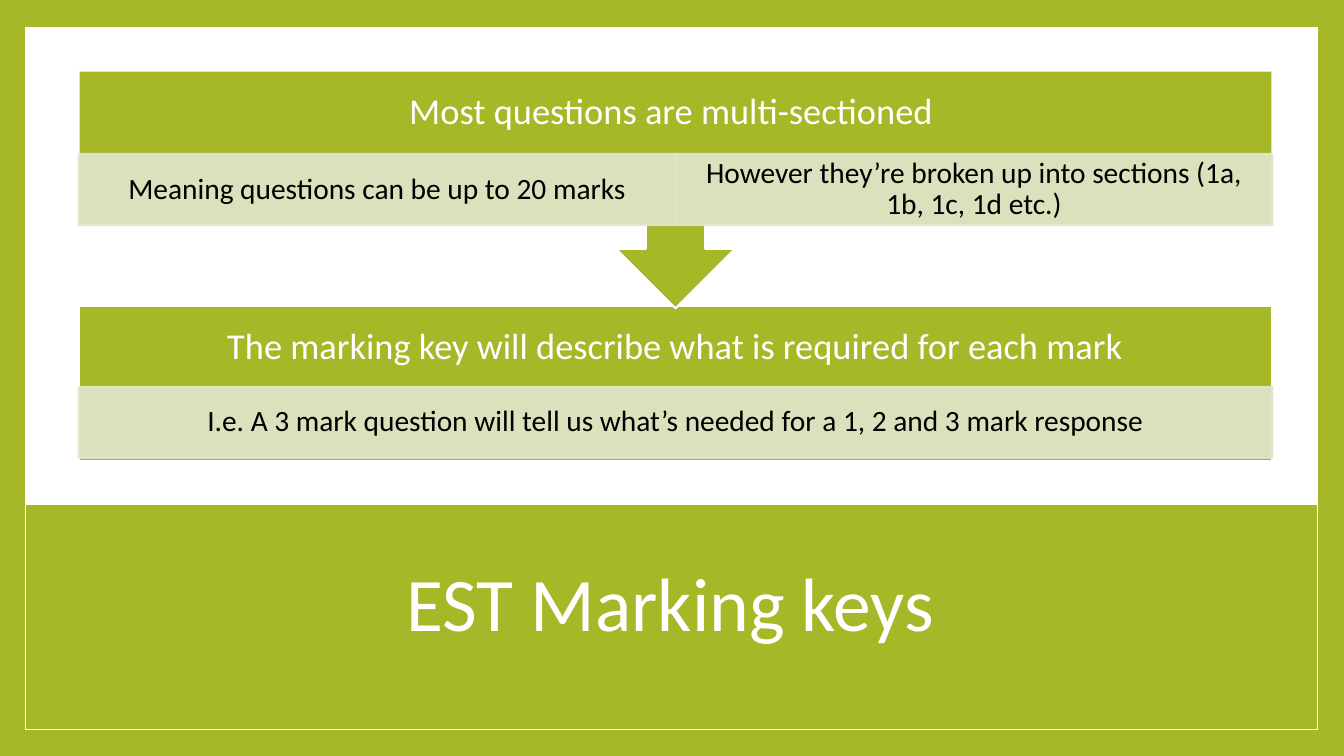
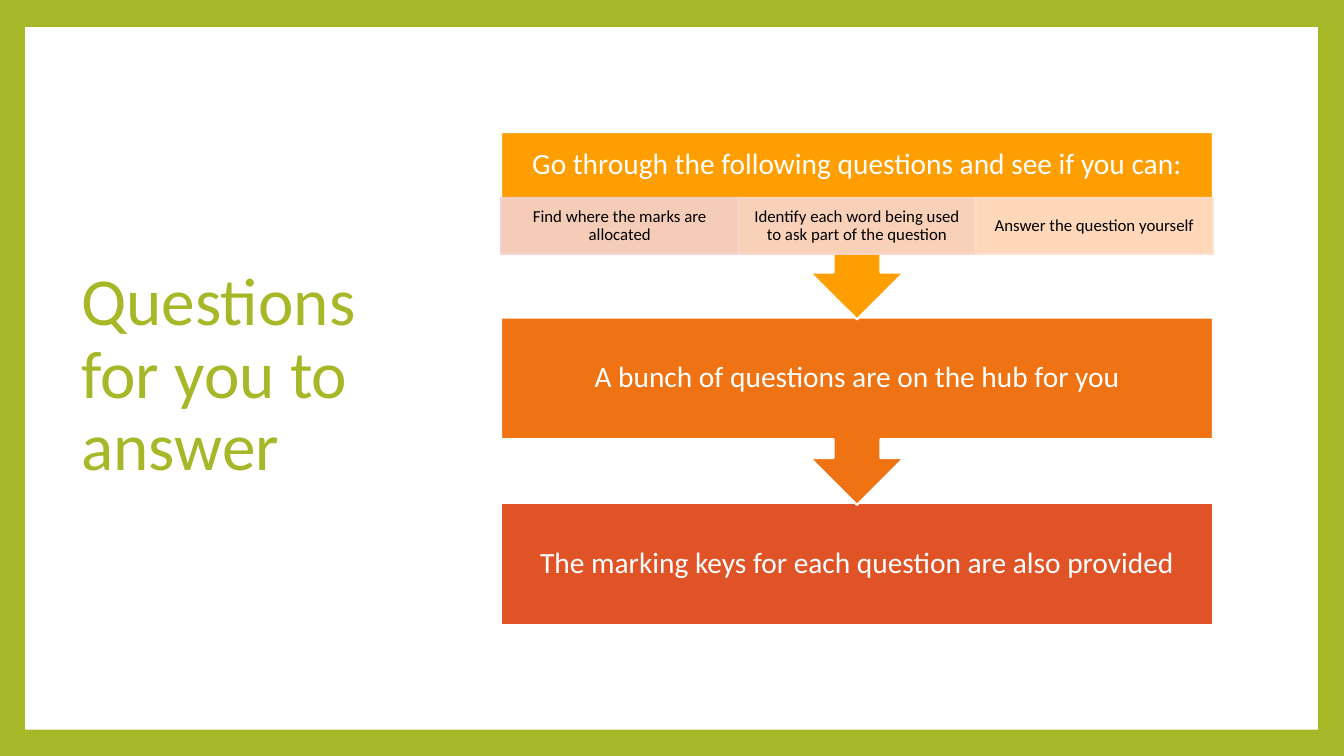
from dataclasses import dataclass

from lxml import etree
from pptx import Presentation
from pptx.dml.color import RGBColor
from pptx.enum.shapes import MSO_SHAPE
from pptx.enum.text import MSO_ANCHOR, PP_ALIGN
from pptx.oxml.ns import qn
from pptx.util import Inches, Pt

RECT = MSO_SHAPE.RECTANGLE
CALLOUT = MSO_SHAPE.DOWN_ARROW_CALLOUT
MIDDLE = MSO_ANCHOR.MIDDLE
CENTER, LEFT = PP_ALIGN.CENTER, PP_ALIGN.LEFT


@dataclass(frozen=True)
class Theme:
    font: str = "Calibri"
    white: str = "FFFFFF"
    black: str = "000000"
    green: str = "A6B727"
    pale: str = "E1E6CD"
    amber: str = "FE9E00"
    orange: str = "EF7213"
    red: str = "DF5327"
    rose: str = "F3D1CD"
    peach: str = "F9D7CC"
    cream: str = "FFDFCC"
    banner: int = 54
    title: int = 48
    line: float = 1.5
    spacing: float = 0.9


@dataclass(frozen=True)
class Look:
    """Type sizes and text margins of one flow."""
    head: int
    cell: int
    pad: float
    side: float
    edge: float


@dataclass(frozen=True)
class Step:
    text: str
    color: str
    cells: tuple = ()


THEME = Theme()
WIDE = Look(head=26, cell=21, pad=0.2, side=0.16, edge=0.03)
SMALL = Look(head=21, cell=12, pad=0.16, side=0.09, edge=0.02)
PANEL = (0.25, 0.27, 12.82, 6.97)
BODY = 0.65       # share of a callout above its arrow
HEAD = 0.54       # share of a step's body above its cells
LAST = 0.52       # the same share in the last step
OVERLAP = 0.02    # arrow tip reaching into the next step


def rgb(color):
    return RGBColor.from_string(color)


def fade(format, percent):
    """Set the opacity of a solid fill or line."""
    for color in format.iter(qn("a:srgbClr")):
        alpha = etree.SubElement(color, qn("a:alpha"))
        alpha.set("val", str(percent * 1000))


def add_box(slide, box, fill, line=None, width=THEME.line, kind=RECT):
    shape = slide.shapes.add_shape(kind, *map(Inches, box))
    shape.shadow.inherit = False
    shape.fill.solid()
    shape.fill.fore_color.rgb = rgb(fill)
    if line:
        shape.line.color.rgb = rgb(line)
        shape.line.width = Pt(width)
    else:
        shape.line.fill.background()
    return shape


def write(shape, text, size, color, align=CENTER, insets=(0.1, 0.05, 0.1, 0.05)):
    frame = shape.text_frame
    frame.word_wrap = True
    frame.vertical_anchor = MIDDLE
    (frame.margin_left, frame.margin_top,
     frame.margin_right, frame.margin_bottom) = map(Inches, insets)
    para = frame.paragraphs[0]
    para.alignment = align
    para.line_spacing = THEME.spacing
    run = para.add_run()
    run.text = text
    run.font.name = THEME.font
    run.font.size = Pt(size)
    run.font.color.rgb = rgb(color)


def add_title(slide, box, text, size, color, align):
    write(slide.shapes.add_textbox(*map(Inches, box)), text, size, color, align)


def add_page(deck):
    """Add a slide with the green border and white panel."""
    slide = deck.slides.add_slide(deck.slide_layouts[6])
    slide.background.fill.solid()
    slide.background.fill.fore_color.rgb = rgb(THEME.green)
    add_box(slide, PANEL, THEME.white)
    return slide


def add_cells(slide, box, cells, look):
    left, top, width, height = box
    each = width / len(cells)
    for i, (text, color) in enumerate(cells):
        cell = add_box(slide, (left + i * each, top, each, height), color, color)
        fade(cell.element.spPr, 90)
        write(cell, text, look.cell, THEME.black,
              insets=(look.side, look.edge) * 2)


def add_flow(slide, left, top, width, pitch, steps, look):
    """Stack steps at an equal pitch, each pointing at the next."""
    tall = pitch + OVERLAP
    body = tall * BODY
    for i, step in reversed(list(enumerate(steps))):
        last = i == len(steps) - 1
        y = top + i * pitch
        shape = add_box(slide, (left, y, width, body if last else tall),
                        step.color, THEME.white, kind=RECT if last else CALLOUT)
        pad = look.pad
        below = body * (1 - HEAD) if step.cells else 0
        write(shape, step.text, look.head, THEME.white,
              insets=(pad, pad, pad, pad + below))
        if step.cells:
            start = y + body * (LAST if last else HEAD)
            add_cells(slide, (left, start, width, below), step.cells, look)


def add_keys(deck):
    slide = add_page(deck)
    left, top, width, height = PANEL
    add_box(slide, (left, 5, width, top + height - 5),
            THEME.green, THEME.white, 1)
    add_title(slide, (1.25, 5.28, 10.8, 1.48), "EST Marking keys",
              THEME.banner, THEME.white, CENTER)
    steps = (
        Step("Most questions are multi-sectioned ", THEME.green, (
            ("Meaning questions can be up to 20 marks", THEME.pale),
            ("However they’re broken up into sections (1a, 1b, 1c, 1d etc.)",
             THEME.pale))),
        Step("The marking key will describe what is required for each mark",
             THEME.green, (
                 ("I.e. A 3 mark question will tell us what’s needed "
                  "for a 1, 2 and 3 mark response", THEME.pale),)),
    )
    add_flow(slide, 0.78, 0.7, 11.84, 2.34, steps, WIDE)


def add_tasks(deck):
    slide = add_page(deck)
    add_title(slide, (0.71, 0.67, 3.68, 6.13), "Questions for you to answer",
              THEME.title, THEME.green, LEFT)
    steps = (
        Step("Go through the following questions and see if you can:",
             THEME.amber, (
                 ("Find where the marks are allocated", THEME.rose),
                 ("Identify each word being used to ask part of the question",
                  THEME.peach),
                 ("Answer the question yourself", THEME.cream))),
        Step("A bunch of questions are on the hub for you", THEME.orange),
        Step("The marking keys for each question are also provided", THEME.red),
    )
    add_flow(slide, 4.97, 1.31, 7.06, 1.84, steps, SMALL)


def main():
    deck = Presentation()
    deck.slide_width, deck.slide_height = Inches(13.33), Inches(7.5)
    add_keys(deck)
    add_tasks(deck)
    deck.save("out.pptx")


if __name__ == "__main__":
    main()
